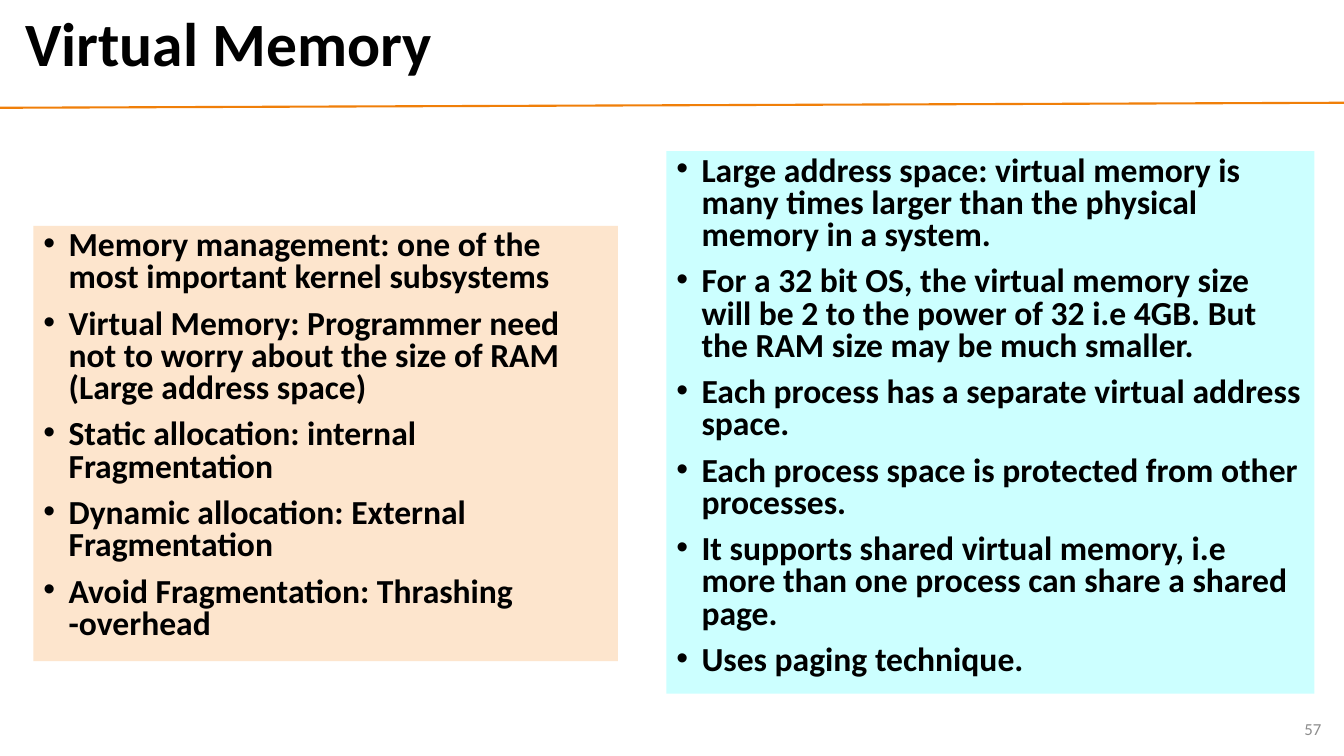
from pptx import Presentation
from pptx.dml.color import RGBColor
from pptx.enum.shapes import MSO_CONNECTOR
from pptx.enum.text import MSO_ANCHOR, MSO_AUTO_SIZE, PP_ALIGN
from pptx.oxml.ns import qn
from pptx.util import Pt
from lxml.etree import SubElement

COLORS = {"text": "000000", "rule": "F07F09", "number": "8C8C8C",
          "peach": "FDE5CD", "aqua": "CCFFFF"}

TITLE = "Virtual Memory"
PAGE = "57"
# Each panel: (left, top, width, height), fill, bullets
PANELS = [
    ((23.8, 161.3, 417.6, 311), "peach", [
        "Memory management: one of the most important kernel subsystems",
        "Virtual Memory: Programmer need not to worry about the size of RAM "
        "(Large address space)",
        "Static allocation: internal Fragmentation",
        "Dynamic allocation: External Fragmentation",
        "Avoid Fragmentation: Thrashing -overhead",
    ]),
    ((475.9, 108, 463, 387.4), "aqua", [
        "Large address space: virtual memory is many times larger than the "
        "physical memory in a system.",
        "For a 32 bit OS, the virtual memory size will be 2 to the power of 32 "
        "i.e 4GB. But the RAM size may be much smaller.",
        "Each process has a separate virtual address space.",
        "Each process space is protected from other processes.",
        "It supports shared virtual memory, i.e more than one process can "
        "share a shared page.",
        "Uses paging technique.",
    ]),
]


def rgb(name):
    return RGBColor.from_string(COLORS[name])


def place(shape, box):
    for attr, value in zip(("left", "top", "width", "height"), box):
        setattr(shape, attr, Pt(value))


def format_font(p, size, color="text", bold=True):
    for r in p.runs:
        for attr, value in {"name": "Calibri", "size": Pt(size), "bold": bold}.items():
            setattr(r.font, attr, value)
        r.font.color.rgb = rgb(color)


def set_frame(tf, anchor):
    for attr, value in {"word_wrap": True, "auto_size": MSO_AUTO_SIZE.NONE,
                        "vertical_anchor": anchor}.items():
        setattr(tf, attr, value)


def add_bullet(p):
    pPr = p._p.get_or_add_pPr()
    pPr.set("marL", str(Pt(18)))
    pPr.set("indent", str(-Pt(18)))
    SubElement(pPr, qn("a:buFont")).set("typeface", "Arial")
    SubElement(pPr, qn("a:buChar")).set("char", "•")


prs = Presentation()
prs.slide_width, prs.slide_height = Pt(960), Pt(540)
s = prs.slides.add_slide(prs.slide_layouts.get_by_name("Two Content"))

# Rule under the title
rule = s.shapes.add_connector(MSO_CONNECTOR.STRAIGHT, Pt(0), Pt(77), Pt(960), Pt(73.4))
rule.line.color.rgb = rgb("rule")
rule.line.width = Pt(1.5)
SubElement(rule._element.spPr, qn("a:effectLst"))

# Title
title = s.shapes.title
place(title, (10.8, 3.6, 928, 59.8))
set_frame(title.text_frame, MSO_ANCHOR.MIDDLE)
title.text_frame.text = TITLE
p = title.text_frame.paragraphs[0]
p.alignment, p.line_spacing = PP_ALIGN.LEFT, 0.9
format_font(p, 44)

# Bullet panels
for panel, (box, fill, bullets) in zip(list(s.placeholders)[1:], PANELS):
    place(panel, box)
    panel.fill.solid()
    panel.fill.fore_color.rgb = rgb(fill)
    tf = panel.text_frame
    set_frame(tf, MSO_ANCHOR.TOP)
    for i, text in enumerate(bullets):
        p = tf.add_paragraph() if i else tf.paragraphs[0]
        p.text = text
        add_bullet(p)
        p.line_spacing = 0.8
        p.space_before = Pt(10 if i else 0)
        format_font(p, 24)

# Slide number
number = s.shapes.add_textbox(Pt(735), Pt(506), Pt(216), Pt(28.8))
set_frame(number.text_frame, MSO_ANCHOR.MIDDLE)
p = number.text_frame.paragraphs[0]
p.text = PAGE
p.alignment = PP_ALIGN.RIGHT
format_font(p, 12, "number", False)

prs.save("out.pptx")
